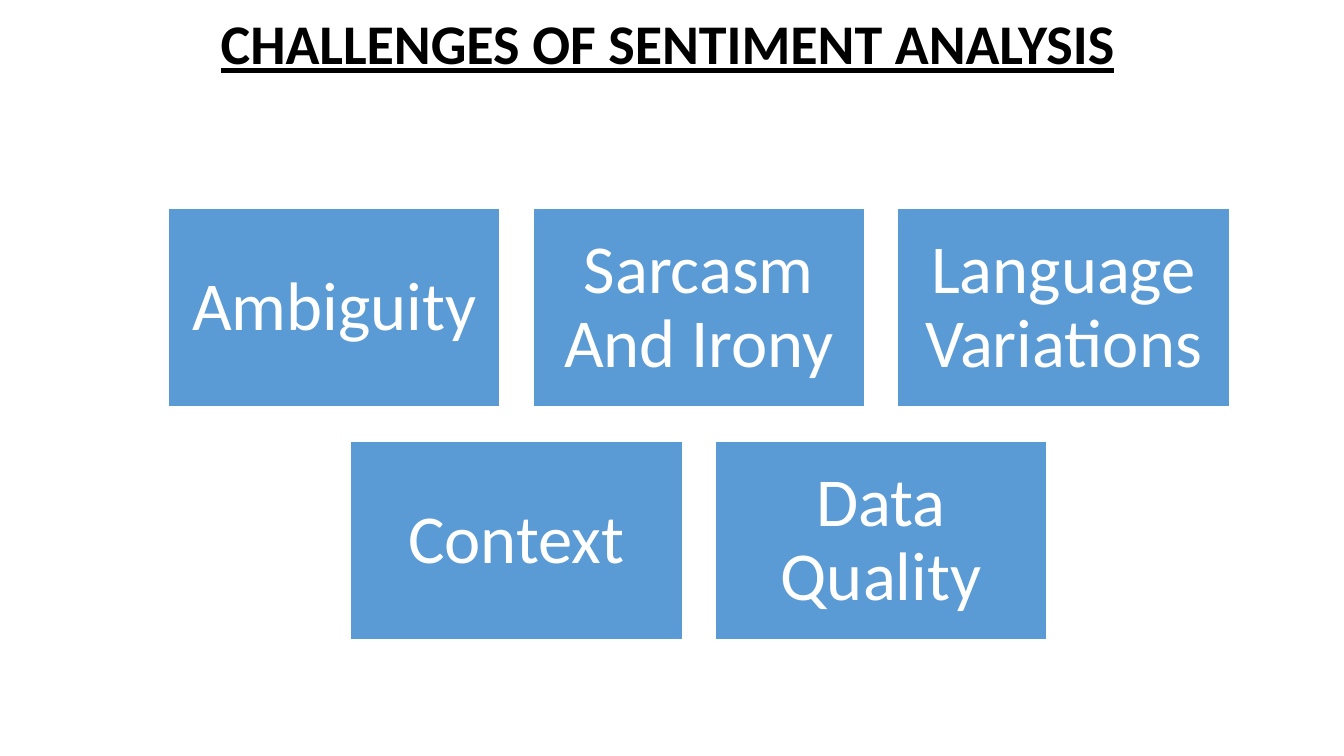
"""Build a slide that shows the challenges of sentiment analysis as rows of boxes."""
from dataclasses import dataclass

from pptx import Presentation
from pptx.dml.color import RGBColor
from pptx.enum.shapes import MSO_SHAPE
from pptx.enum.text import MSO_ANCHOR, MSO_AUTO_SIZE, PP_ALIGN
from pptx.slide import Slide
from pptx.text.text import TextFrame
from pptx.util import Cm, Pt

RECTANGLE = MSO_SHAPE.RECTANGLE
MIDDLE = MSO_ANCHOR.MIDDLE
CENTER = PP_ALIGN.CENTER
NO_AUTOFIT = MSO_AUTO_SIZE.NONE

COLORS = {"title": "000000", "box": "5B9BD5", "white": "FFFFFF"}
FONT = "Calibri"
TITLE = "CHALLENGES OF SENTIMENT ANALYSIS"
CHALLENGE_ROWS = [
    ["Ambiguity", "Sarcasm And Irony", "Language Variations"],
    ["Context", "Data Quality"],
]
BOX_WIDTH, BOX_HEIGHT = 8.36, 5.0
COLUMN_PITCH, ROW_PITCH = 9.19, 5.87
GRID_CENTER, GRID_TOP = 17.61, 5.26
BOX_INSET = 0.5


@dataclass
class ChallengeBox:
    """A labelled box with its top left corner in centimetres."""

    label: str
    left: float
    top: float


def rgb(name: str) -> RGBColor:
    """Return the named colour."""
    return RGBColor.from_string(COLORS[name])


def write_text(text_frame: TextFrame, text: str, size: int, color: str) -> None:
    """Fill a text frame with one centred paragraph."""
    text_frame.text = text
    text_frame.word_wrap = True
    text_frame.auto_size = NO_AUTOFIT
    text_frame.vertical_anchor = MIDDLE
    paragraph = text_frame.paragraphs[0]
    paragraph.alignment = CENTER
    paragraph.line_spacing = 0.9
    font = paragraph.runs[0].font
    font.name = FONT
    font.size = Pt(size)
    font.color.rgb = rgb(color)


def add_title(slide: Slide) -> None:
    """Place and format the title placeholder."""
    title = slide.shapes.title
    title.left, title.top = Cm(2.22), Cm(0.1)
    title.width, title.height = Cm(29.21), Cm(2.16)
    write_text(title.text_frame, TITLE, 40, "title")
    font = title.text_frame.paragraphs[0].runs[0].font
    font.bold = True
    font.underline = True


def layout_boxes() -> list[ChallengeBox]:
    """Centre every row of boxes on the same vertical axis."""
    boxes = []
    for row, labels in enumerate(CHALLENGE_ROWS):
        row_width = (len(labels) - 1) * COLUMN_PITCH + BOX_WIDTH
        row_left = GRID_CENTER - row_width / 2
        for column, label in enumerate(labels):
            left = row_left + column * COLUMN_PITCH
            boxes.append(ChallengeBox(label, left, GRID_TOP + row * ROW_PITCH))
    return boxes


def add_box(slide: Slide, box: ChallengeBox) -> None:
    """Draw one challenge box with its label."""
    shape = slide.shapes.add_shape(
        RECTANGLE, Cm(box.left), Cm(box.top), Cm(BOX_WIDTH), Cm(BOX_HEIGHT)
    )
    shape.shadow.inherit = False
    shape.fill.solid()
    shape.fill.fore_color.rgb = rgb("box")
    shape.line.color.rgb = rgb("white")
    shape.line.width = Pt(1)
    text_frame = shape.text_frame
    text_frame.margin_left = text_frame.margin_right = Cm(BOX_INSET)
    text_frame.margin_top = text_frame.margin_bottom = Cm(BOX_INSET)
    write_text(text_frame, box.label, 49, "white")


def main() -> None:
    """Create and save the presentation."""
    presentation = Presentation()
    presentation.slide_width, presentation.slide_height = Cm(33.87), Cm(19.05)
    slide = presentation.slides.add_slide(presentation.slide_layouts[5])
    add_title(slide)
    for box in layout_boxes():
        add_box(slide, box)
    presentation.save("out.pptx")


if __name__ == "__main__":
    main()
